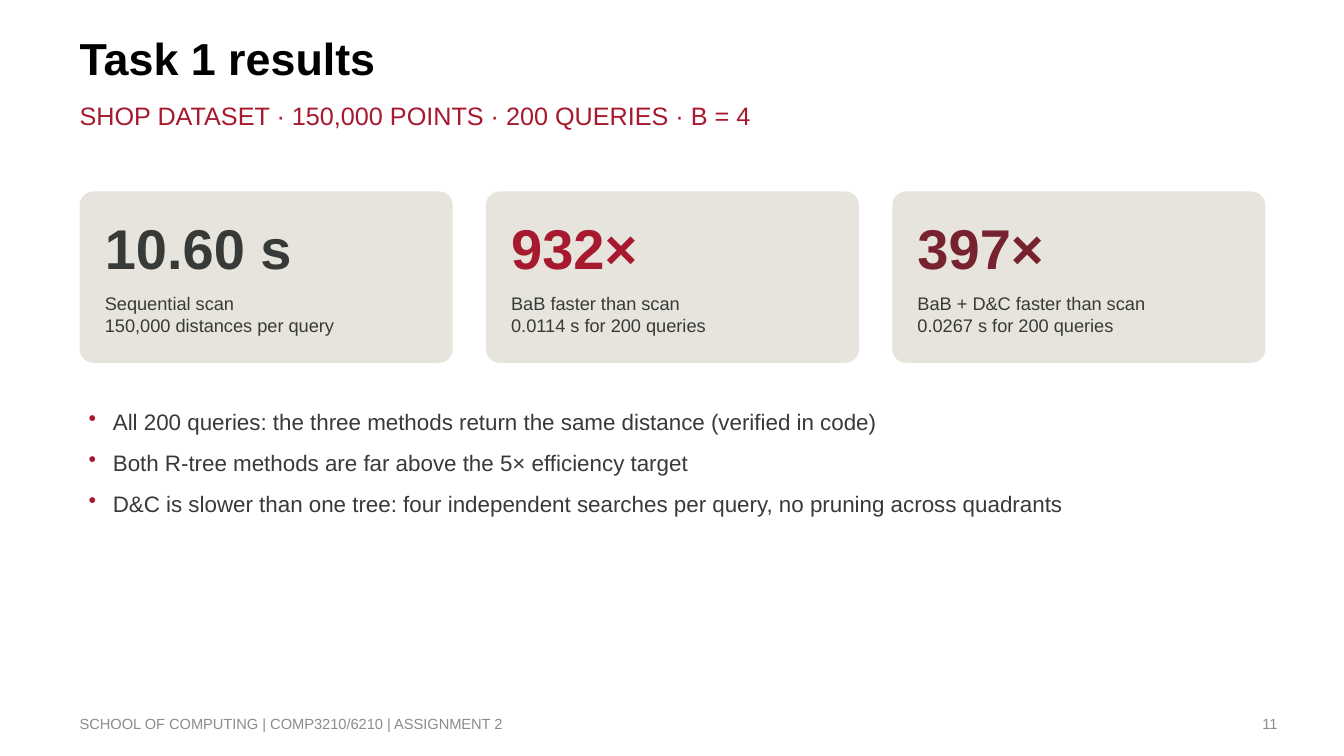
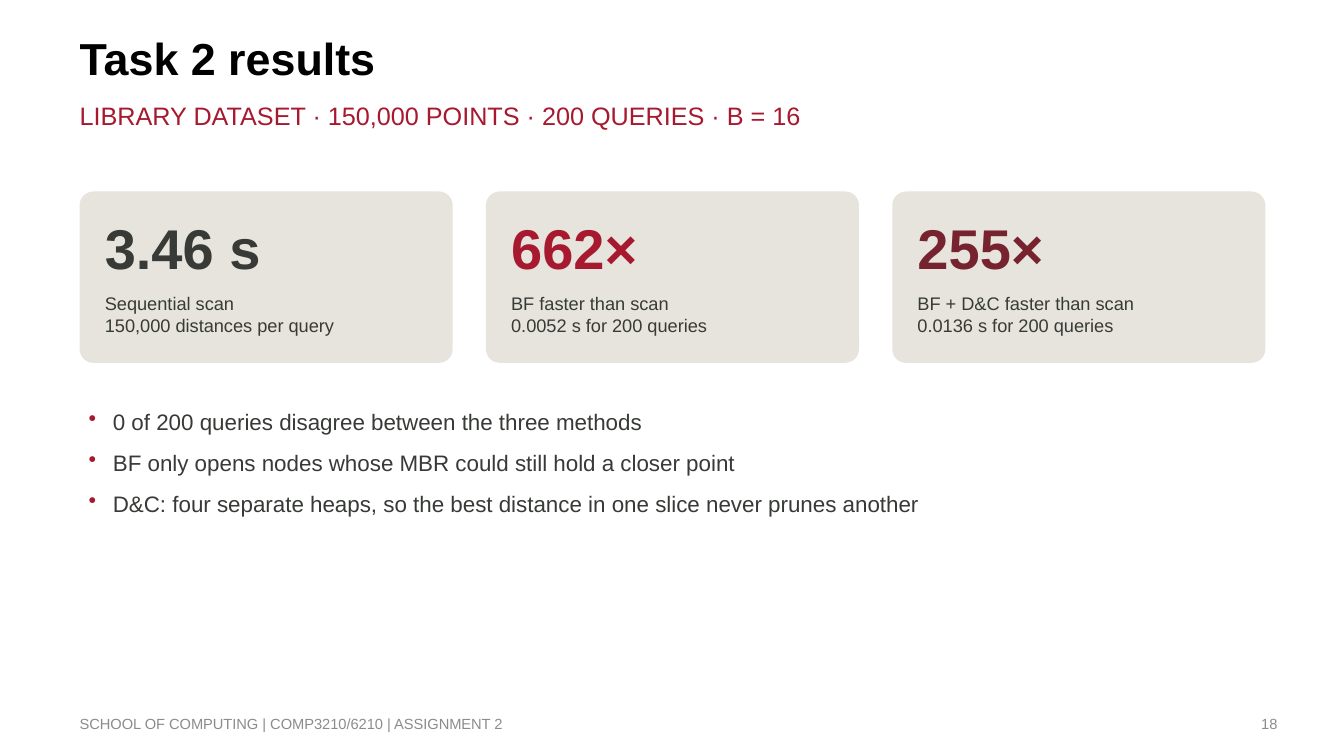
from lxml.etree import SubElement
from pptx import Presentation
from pptx.dml.color import RGBColor
from pptx.enum.shapes import MSO_SHAPE
from pptx.enum.text import MSO_ANCHOR, PP_ALIGN
from pptx.oxml.ns import qn
from pptx.util import Inches, Pt

# Content
FOOTER = "SCHOOL OF COMPUTING | COMP3210/6210 | ASSIGNMENT 2"
SLIDES = [
    {
        "title": "Task 1 results",
        "subtitle": "SHOP DATASET · 150,000 POINTS · 200 QUERIES · B = 4",
        "number": 11,
        "cards": [
            ("10.60 s", ["Sequential scan", "150,000 distances per query"]),
            ("932×", ["BaB faster than scan", "0.0114 s for 200 queries"]),
            ("397×", ["BaB + D&C faster than scan", "0.0267 s for 200 queries"]),
        ],
        "bullets": [
            "All 200 queries: the three methods return the same distance (verified in code)",
            "Both R-tree methods are far above the 5× efficiency target",
            "D&C is slower than one tree: four independent searches per query, "
            "no pruning across quadrants",
        ],
    },
    {
        "title": "Task 2 results",
        "subtitle": "LIBRARY DATASET · 150,000 POINTS · 200 QUERIES · B = 16",
        "number": 18,
        "cards": [
            ("3.46 s", ["Sequential scan", "150,000 distances per query"]),
            ("662×", ["BF faster than scan", "0.0052 s for 200 queries"]),
            ("255×", ["BF + D&C faster than scan", "0.0136 s for 200 queries"]),
        ],
        "bullets": [
            "0 of 200 queries disagree between the three methods",
            "BF only opens nodes whose MBR could still hold a closer point",
            "D&C: four separate heaps, so the best distance in one slice never prunes another",
        ],
    },
]

# Shared style
FONT = "Arial"
BLACK, CHARCOAL, GREY, SAND = "000000", "373A36", "8C8C8C", "E6E4DC"
RED, MAROON = "A6192E", "76232F"
CARD_COLORS = [CHARCOAL, RED, MAROON]

# Grid, in inches
LEFT, CONTENT_W = 0.79, 11.76
CARD_TOP, CARD_W, CARD_H = 1.9, 3.7, 1.7
CARD_STEP = (CONTENT_W - CARD_W) / (len(CARD_COLORS) - 1)
CARD_PAD, INSET = 0.2, 0.05
FOOTER_TOP, FOOTER_H = 6.98, 0.4


def rgb(color):
    return RGBColor.from_string(color)


def write(sp, lines, size, color, bold=False, inset=0.0, after=0,
          anchor=MSO_ANCHOR.TOP, align=PP_ALIGN.LEFT, bullet=None):
    tf = sp.text_frame
    tf.word_wrap = True
    tf.vertical_anchor = anchor
    tf.margin_left = tf.margin_right = Inches(inset)
    tf.margin_top = tf.margin_bottom = Inches(inset)
    tf.text = "\n".join(lines)
    for p in tf.paragraphs:
        p.alignment = align
        p.space_before, p.space_after = Pt(0), Pt(after)
        if bullet:
            add_bullet(p, bullet)
        for r in p.runs:
            r.font.name, r.font.size, r.font.bold = FONT, Pt(size), bold
            r.font.color.rgb = rgb(color)


def add_bullet(p, color):
    pPr = p._p.get_or_add_pPr()
    pPr.set("marL", str(Inches(0.28)))
    pPr.set("indent", str(Inches(-0.24)))
    SubElement(SubElement(pPr, qn("a:buClr")), qn("a:srgbClr")).set("val", color)
    SubElement(pPr, qn("a:buChar")).set("char", "•")


def add_text(slide, box, lines, size, color, **style):
    sp = slide.shapes.add_textbox(*map(Inches, box))
    write(sp, lines, size, color, **style)


def add_frame(slide, title, subtitle, number):
    sp = slide.shapes.title
    sp.left, sp.top, sp.width, sp.height = map(Inches, (LEFT, 0.3, 9.25, 0.71))
    write(sp, [title], 32, BLACK, bold=True)
    add_text(slide, (LEFT, 0.99, 9.34, 0.49), [subtitle], 18, RED)
    add_text(slide, (LEFT, FOOTER_TOP, 5.88, FOOTER_H), [FOOTER], 10.5, GREY,
             anchor=MSO_ANCHOR.MIDDLE)
    add_text(slide, (9.56, FOOTER_TOP, 3.11, FOOTER_H), [str(number)], 10.5, GREY,
             anchor=MSO_ANCHOR.MIDDLE, align=PP_ALIGN.RIGHT)


def add_card(slide, left, figure, caption, color):
    sp = slide.shapes.add_shape(MSO_SHAPE.ROUNDED_RECTANGLE,
                                *map(Inches, (left, CARD_TOP, CARD_W, CARD_H)))
    sp.adjustments[0] = 0.08
    sp.shadow.inherit = False
    sp.fill.solid()
    sp.fill.fore_color.rgb = rgb(SAND)
    sp.line.fill.background()
    x, w = left + CARD_PAD, CARD_W - 2 * CARD_PAD
    add_text(slide, (x, CARD_TOP + 0.15, w, 0.8), [figure], 40, color, bold=True,
             inset=INSET, after=6, anchor=MSO_ANCHOR.MIDDLE)
    add_text(slide, (x, CARD_TOP + 0.95, w, 0.65), caption, 13, CHARCOAL, inset=INSET)


def main():
    prs = Presentation()
    prs.slide_width, prs.slide_height = Inches(13.33), Inches(7.5)
    for content in SLIDES:
        slide = prs.slides.add_slide(prs.slide_layouts[5])
        add_frame(slide, content["title"], content["subtitle"], content["number"])
        for i, (figure, caption) in enumerate(content["cards"]):
            add_card(slide, LEFT + i * CARD_STEP, figure, caption, CARD_COLORS[i])
        add_text(slide, (LEFT, 4, CONTENT_W, 2.4), content["bullets"], 16, CHARCOAL,
                 inset=INSET, after=10, bullet=RED)
    prs.save("out.pptx")


if __name__ == "__main__":
    main()
